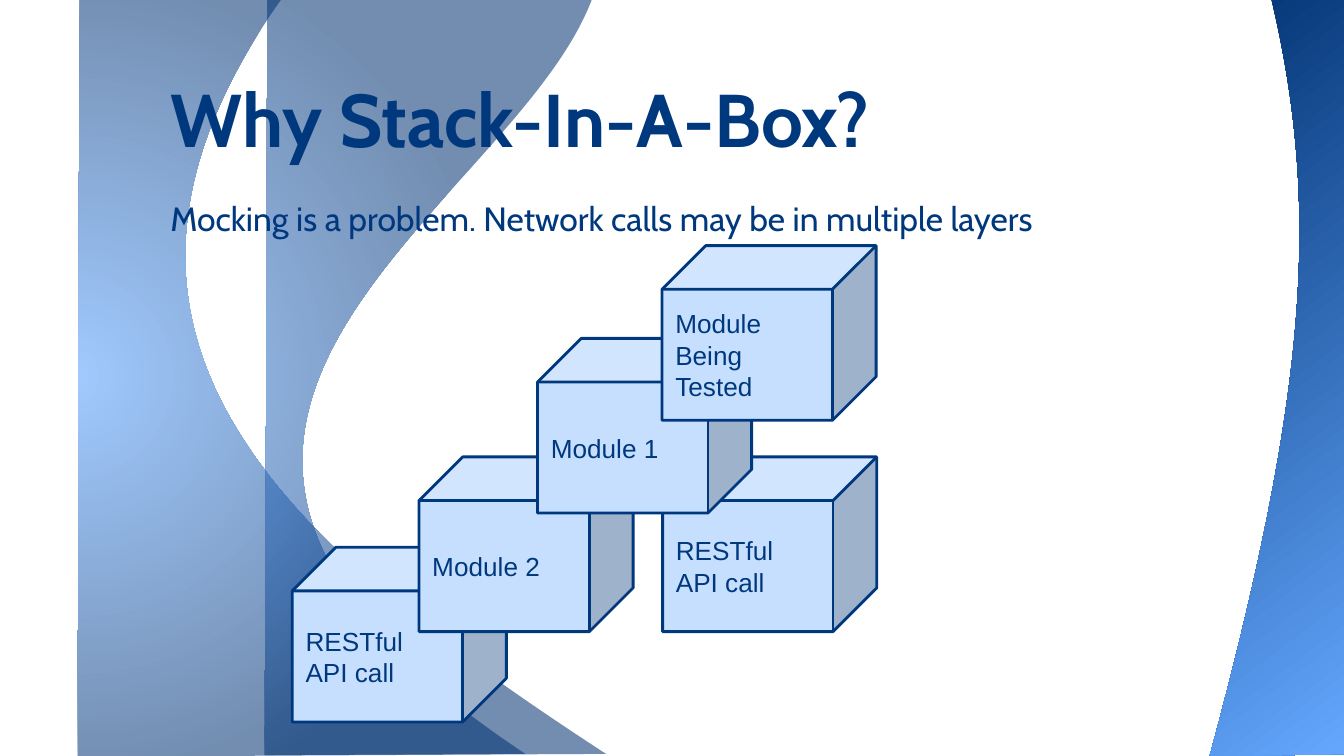
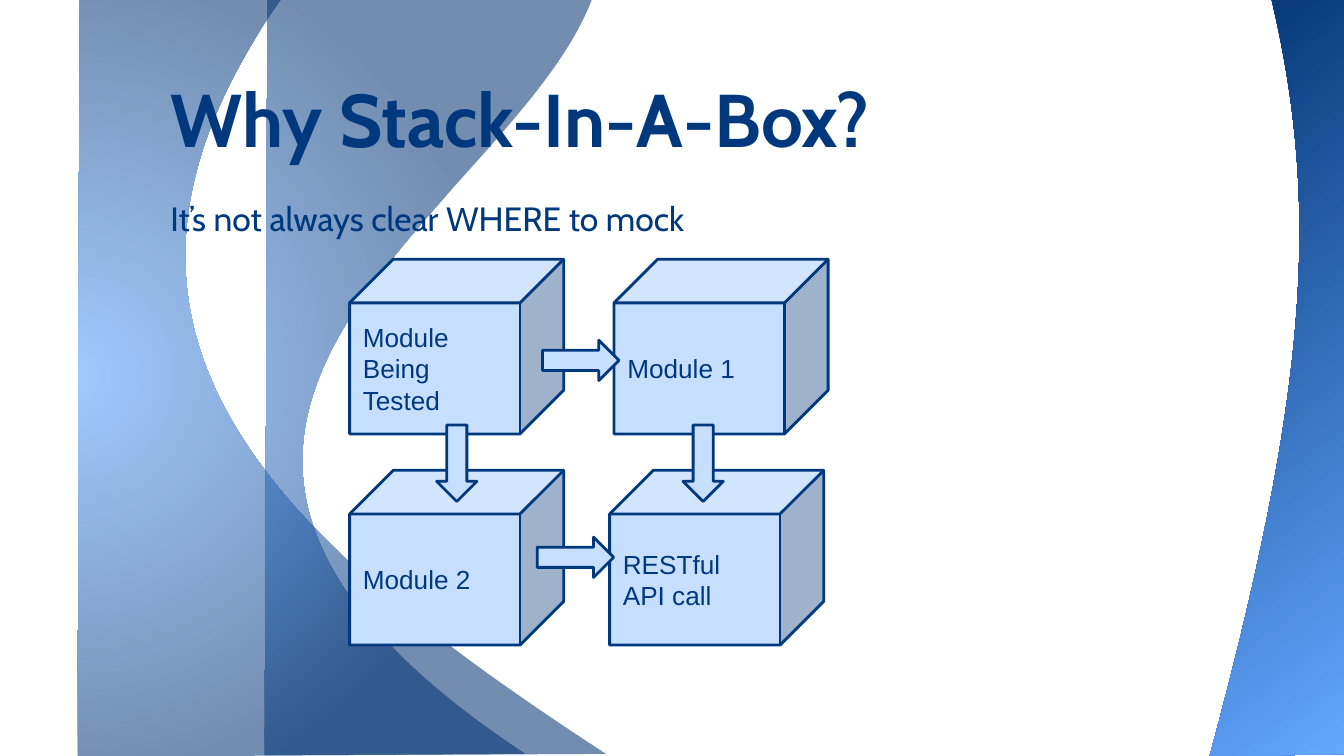
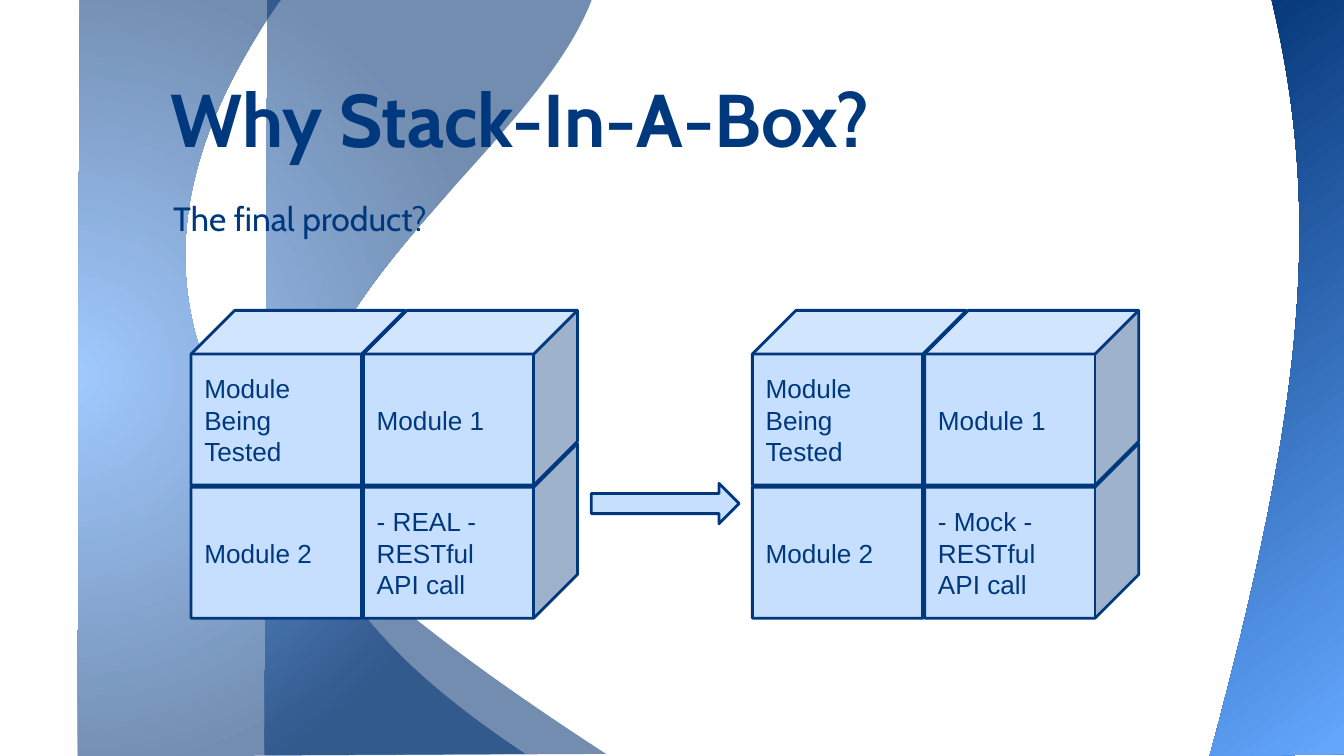
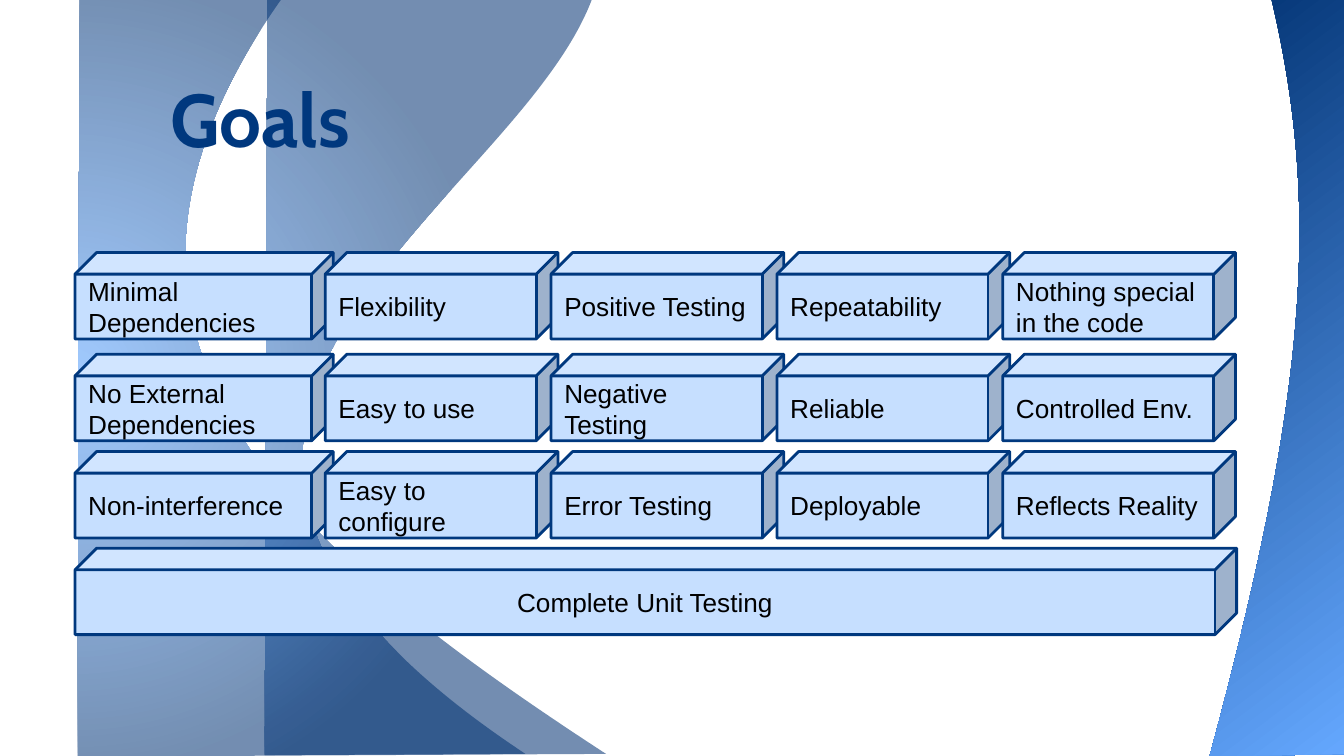
from lxml.etree import SubElement
from pptx import Presentation
from pptx.dml.color import RGBColor
from pptx.enum.shapes import MSO_SHAPE
from pptx.enum.text import MSO_ANCHOR, MSO_AUTO_SIZE, PP_ALIGN
from pptx.oxml import parse_xml
from pptx.oxml.ns import nsdecls, qn
from pptx.util import Pt

NAVY = RGBColor(0x00, 0x38, 0x7E)
PALE_BLUE = RGBColor(0xC6, 0xDF, 0xFF)
BLACK = RGBColor(0x00, 0x00, 0x00)
RIBBON_DARK = RGBColor(0x00, 0x31, 0x71)
RIBBON_LIGHT = RGBColor(0x54, 0x9F, 0xFF)
EDGE_LIGHT = RGBColor(0x65, 0xA8, 0xFF)

TITLE_BOX = (84.2, 15.8, 599.8, 78.5)
CUBE_SIZE = (114.7, 93.6)
CUBE_STEP = (92.3, 71.3)
ARROW_SIZE = (41, 21.6)

TITLE_FONT = {"name": "Cabin", "size": Pt(40), "bold": True}
LEAD_FONT = {"name": "Cabin", "size": Pt(18)}
LABEL_FONT = {"name": "Arial", "size": Pt(14)}
FRAME = {"word_wrap": True, "auto_size": MSO_AUTO_SIZE.NONE,
         "margin_left": Pt(7.2), "margin_right": Pt(7.2),
         "margin_top": Pt(7.2), "margin_bottom": Pt(7.2)}

# Background ribbons: box, outline commands and gradient
GLOW = '<a:path path="circle"><a:fillToRect l="49000" t="50000" r="51000" b="50000"/></a:path>'
SLANT = '<a:lin ang="3180000" scaled="0"/>'
RIBBONS = [
    {"box": (-28, -1.5, 135.5, 406),
     "outline": [("moveTo", (324.7, 403.9)),
                 ("lnTo", (41.8, 405.4)),
                 ("cubicBezTo", (41.8, 224.6), (42.5, 43.9), (43.2, -136.8)),
                 ("lnTo", (280.1, -135.4)),
                 ("cubicBezTo", (-28.1, 126), (105.8, 261.4), (324.7, 403.9))],
     "colors": (RIBBON_LIGHT, RIBBON_DARK), "opacity": 54, "direction": GLOW},
    {"box": (-87.8, 0, 244, 404.6),
     "outline": [("moveTo", (281.5, 403.9)),
                 ("lnTo", (141.8, 404.6)),
                 ("cubicBezTo", (142.6, 224.6), (143.3, 43.9), (143.3, -136.8)),
                 ("lnTo", (233.3, -135.4)),
                 ("cubicBezTo", (545.8, 38.9), (-87.8, 159.8), (281.5, 403.9))],
     "colors": (RIBBON_LIGHT, RIBBON_DARK), "opacity": 54, "direction": GLOW},
    {"box": (637.2, -0.7, 86.4, 406),
     "outline": [("moveTo", (723.6, 403.9)),
                 ("lnTo", (648, 405.4)),
                 ("cubicBezTo", (720.7, 136.1), (706.3, 50.4), (637.2, -139.7)),
                 ("lnTo", (723.6, -139.7))],
     "colors": (RIBBON_DARK, EDGE_LIGHT), "opacity": 100, "direction": SLANT},
]

# Slide content
TESTED = "Module Being Tested"
API_CALL = "RESTful API call"
LAYERS = [(API_CALL, 355, 244.8), (API_CALL, 156.6, 293.2), ("Module 2", 224.5, 244.8),
          ("Module 1", 288, 181.3), (TESTED, 354.7, 131.6)]
CALLS = [(API_CALL, 326.6, 252), ("Module 2", 187.3, 252),
         ("Module 1", 329, 138.9), (TESTED, 187.3, 138.9)]
CALL_ARROWS = [(290.6, 182.3, 0), (287.8, 287.8, 0), (224.2, 237.4, 90), (356.2, 237.4, 90)]
GOAL_COLUMNS = [
    ("Minimal Dependencies", "No External Dependencies", "Non-interference"),
    ("Flexibility", "Easy to use", "Easy to configure"),
    ("Positive Testing", "Negative Testing", "Error Testing"),
    ("Repeatability", "Reliable", "Deployable"),
    ("Nothing special in the code", "Controlled Env.", "Reflects Reality"),
]
GOAL_ROW_TOPS = (0, 54.5, 106.6, 158.4)


def apply_format(target, values):
    for attribute, value in values.items():
        setattr(target, attribute, value)


def to_points(box):
    return [Pt(length) for length in box]


def write_text(holder, text, font, color, anchor=MSO_ANCHOR.TOP, align=PP_ALIGN.LEFT):
    frame = holder.text_frame
    frame.text = text
    apply_format(frame, {**FRAME, "vertical_anchor": anchor})
    for paragraph in frame.paragraphs:
        paragraph.alignment = align
        apply_format(paragraph.font, font)
        paragraph.font.color.rgb = color


def add_ribbon(slide, layout, position, ribbon):
    """Draw one curved band and place it behind everything on the layout."""
    left, top, width, height = ribbon["box"]
    right, bottom = left + width, top + height
    builder = slide.shapes.build_freeform(Pt(left), Pt(top))
    builder.add_line_segments([(Pt(x), Pt(y)) for x, y in
                               ((right, top), (right, bottom), (left, bottom))])
    band = builder.convert_to_shape()
    band.shadow.inherit = False
    band.line.fill.background()

    # Curved outline, measured from the corner of the box
    outline = band.element.spPr.find(".//" + qn("a:path"))
    for segment in list(outline):
        outline.remove(segment)
    for command, *points in ribbon["outline"]:
        segment = SubElement(outline, qn("a:" + command))
        for x, y in points:
            SubElement(segment, qn("a:pt"), x=str(Pt(x - left)), y=str(Pt(y - top)))
    SubElement(outline, qn("a:close"))

    # Gradient fill
    stops = "".join(
        f'<a:gs pos="{place}"><a:srgbClr val="{color}">'
        f'<a:alpha val="{ribbon["opacity"] * 1000}"/></a:srgbClr></a:gs>'
        for place, color in zip((0, 100000), ribbon["colors"]))
    gradient = parse_xml(f'<a:gradFill {nsdecls("a")} rotWithShape="1">'
                         f'<a:gsLst>{stops}</a:gsLst>{ribbon["direction"]}</a:gradFill>')
    band.element.spPr.find(qn("a:custGeom")).addnext(gradient)

    band.element.nvSpPr.cNvPr.set("id", str(20 + position))
    layout.shapes.element.insert(2 + position, band.element)


def add_titled_slide(deck, title):
    slide = deck.slides.add_slide(deck.slide_layouts[5])
    heading = slide.shapes.title
    apply_format(heading, dict(zip(("left", "top", "width", "height"), to_points(TITLE_BOX))))
    write_text(heading, title, TITLE_FONT, NAVY, MSO_ANCHOR.BOTTOM)
    return slide


def add_lead(slide, text, left=84.2):
    lead = slide.shapes.add_textbox(*to_points((left, 98.6, 597.6, 46)))
    write_text(lead, text, LEAD_FONT, NAVY)


def add_block(shapes, preset, box):
    block = shapes.add_shape(preset, *to_points(box))
    block.shadow.inherit = False
    block.fill.solid()
    block.fill.fore_color.rgb = PALE_BLUE
    block.line.color.rgb = NAVY
    block.line.width = Pt(1.5)
    return block


def add_cube(shapes, text, box, color=NAVY, align=PP_ALIGN.LEFT):
    cube = add_block(shapes, MSO_SHAPE.CUBE, box)
    cube.adjustments[0] = 0.25
    write_text(cube, text, LABEL_FONT, color, MSO_ANCHOR.MIDDLE, align)


def add_arrow(slide, left, top, size=ARROW_SIZE, turn=0):
    arrow = add_block(slide.shapes, MSO_SHAPE.RIGHT_ARROW, (left, top, *size))
    arrow.rotation = turn


def add_product(slide, left, top, api_kind):
    """Stack four cubes tightly, back to front: columns left to right, bottom up."""
    stack = slide.shapes.add_group_shape()
    columns = [("Module 2", TESTED), (f"- {api_kind} -\n{API_CALL}", "Module 1")]
    for column, labels in enumerate(columns):
        for level, label in enumerate(labels):
            corner = (left + column * CUBE_STEP[0], top + (1 - level) * CUBE_STEP[1])
            add_cube(stack.shapes, label, (*corner, *CUBE_SIZE))


def add_goal_wall(slide, left, top, width):
    height, first_width, brick_width, step = 46.3, 138.4, 124.7, 121
    add_cube(slide.shapes, "Complete Unit Testing",
             (left, top + GOAL_ROW_TOPS[-1], width, height), BLACK, PP_ALIGN.CENTER)
    for column, goals in enumerate(GOAL_COLUMNS):
        pile = slide.shapes.add_group_shape()
        offset = 134 + (column - 1) * step if column else 0
        goal_width = brick_width if column else first_width
        for goal, row_top in zip(goals, GOAL_ROW_TOPS):
            add_cube(pile.shapes, goal,
                     (left + offset, top + row_top, goal_width, height), BLACK)


def main():
    deck = Presentation()
    deck.slide_width, deck.slide_height = Pt(720), Pt(405)
    question = "Why Stack-In-A-Box?"

    # Layers of calls
    layers = add_titled_slide(deck, question)
    for position, ribbon in enumerate(RIBBONS):
        add_ribbon(layers, layers.slide_layout, position, ribbon)
    add_lead(layers, "Mocking is a problem. Network calls may be in multiple layers")
    for label, left, top in LAYERS:
        add_cube(layers.shapes, label, (left, top, *CUBE_SIZE))

    # Where to mock
    calls = add_titled_slide(deck, question)
    add_lead(calls, "It’s not always clear WHERE to mock")
    for label, left, top in CALLS:
        add_cube(calls.shapes, label, (left, top, *CUBE_SIZE))
    for left, top, turn in CALL_ARROWS:
        add_arrow(calls, left, top, turn=turn)

    # Real and mocked product
    product = add_titled_slide(deck, question)
    add_lead(product, "The final product?", left=85.7)
    add_product(product, 102.4, 166.3, "REAL")
    add_product(product, 403.1, 166.3, "Mock")
    add_arrow(product, 316.8, 259, size=(79.2, 21.6))

    # Goals
    goals = add_titled_slide(deck, "Goals")
    add_goal_wall(goals, 40.2, 135.3, 622.3)

    deck.save("out.pptx")


if __name__ == "__main__":
    main()
